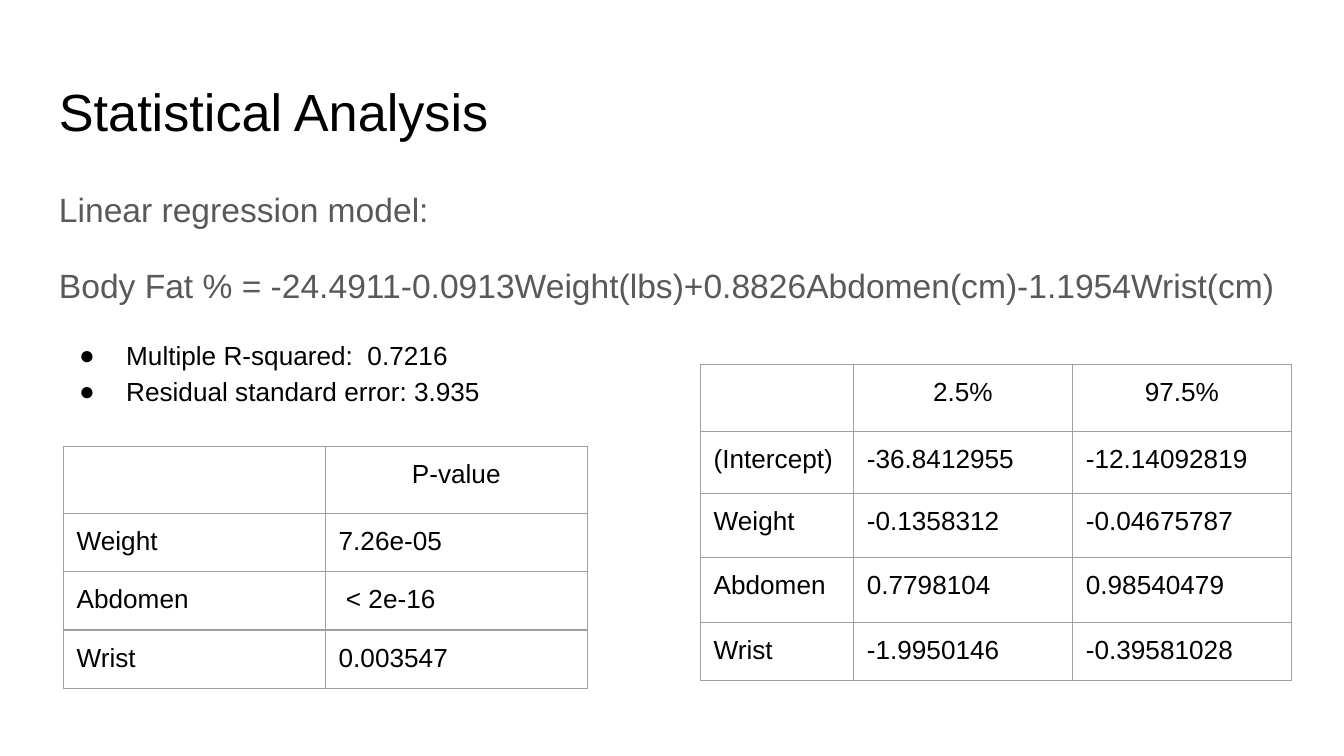
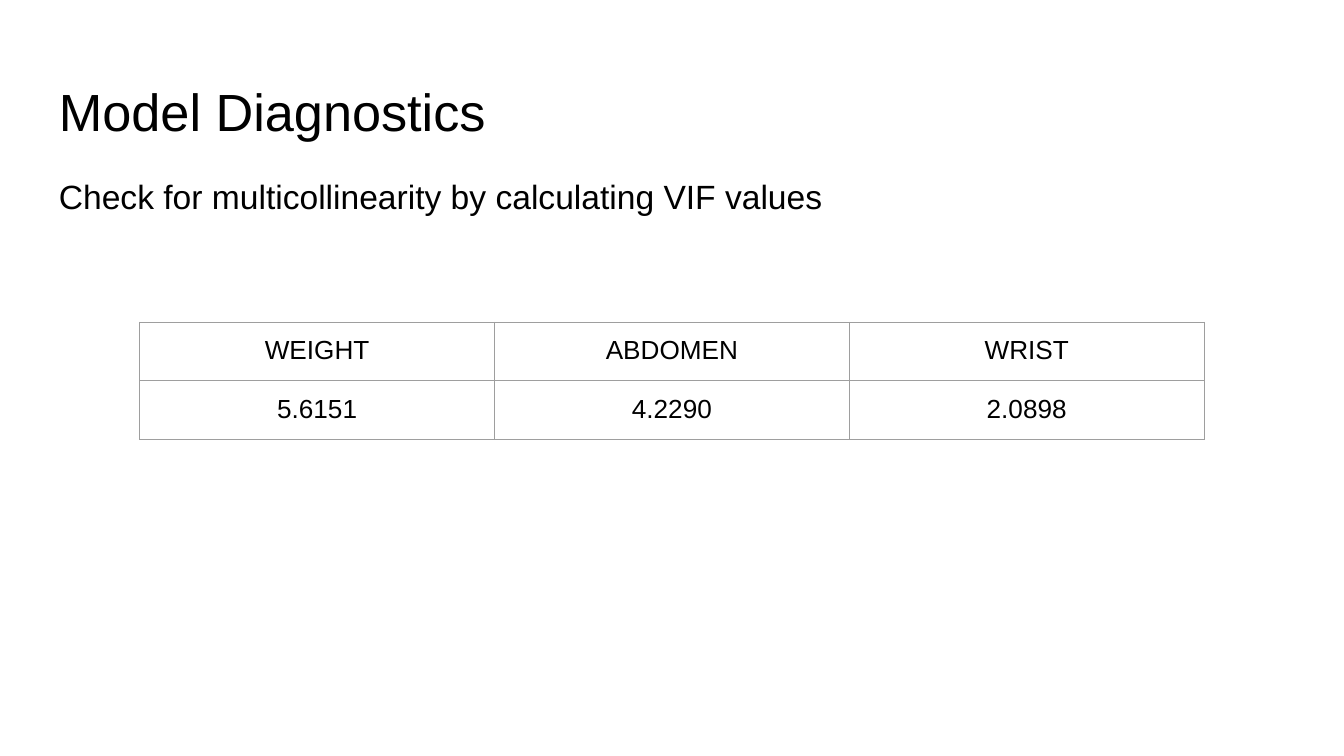
"""Build two slides on a body fat regression and its diagnostics."""
from dataclasses import dataclass

from lxml import etree
from pptx import Presentation
from pptx.dml.color import RGBColor
from pptx.enum.text import MSO_ANCHOR, PP_ALIGN
from pptx.oxml.ns import qn
from pptx.slide import Slide
from pptx.util import Inches, Pt

LEFT, CENTER = PP_ALIGN.LEFT, PP_ALIGN.CENTER
TOP = MSO_ANCHOR.TOP
COLORS = {"text": "000000", "muted": "595959", "border": "9E9E9E"}
FONT = "Arial"
BULLET = "●"
PAD = Inches(0.1)
FRAME_FORMAT = {"margin_left": PAD, "margin_top": PAD, "margin_right": PAD,
                "margin_bottom": PAD, "vertical_anchor": TOP}
TABLE_FORMAT = {"first_row": False, "horz_banding": False}
BODY_SPACING = 1.15
EMPTY_SIZE = 18


@dataclass(frozen=True)
class Para:
    text: str
    size: int = 14
    color: str = "text"
    align: PP_ALIGN = LEFT
    line: float = 1.0
    before: int = 0
    bullet: bool = False


@dataclass(frozen=True)
class TextBox:
    left: float
    top: float
    width: float
    height: float
    paras: tuple[Para, ...]


@dataclass(frozen=True)
class Grid:
    left: float
    top: float
    cols: tuple[float, ...]
    rows: tuple[float, ...]
    data: tuple[tuple[str, ...], ...]
    centered_rows: int = 1


def apply(target: object, values: dict) -> None:
    """Set every attribute named in values on the target."""
    for name, value in values.items():
        setattr(target, name, value)


def add_bullet(p, size: int) -> None:
    """Give a paragraph a hanging bullet in the text colour."""
    pPr = p._p.get_or_add_pPr()
    pPr.set("marL", str(Inches(0.5)))
    pPr.set("indent", str(Inches(-0.35)))
    clr = etree.SubElement(pPr, qn("a:buClr"))
    etree.SubElement(clr, qn("a:srgbClr"), val=COLORS["text"])
    etree.SubElement(pPr, qn("a:buSzPts"), val=str(size * 100))
    etree.SubElement(pPr, qn("a:buFont"), typeface=FONT)
    etree.SubElement(pPr, qn("a:buChar"), char=BULLET)


def end_para(p, size: int) -> None:
    """Set the font that closes a paragraph."""
    end = etree.SubElement(p._p, qn("a:endParaRPr"), sz=str(size * 100))
    for tag in ("a:latin", "a:ea", "a:cs"):
        etree.SubElement(end, qn(tag), typeface=FONT)


def write_para(p, para: Para) -> None:
    """Fill one paragraph with formatted text."""
    apply(p, {"alignment": para.align, "line_spacing": para.line,
              "space_before": Pt(para.before)})
    if para.bullet:
        add_bullet(p, para.size)
    if para.text:
        r = p.add_run()
        r.text = para.text
        apply(r.font, {"name": FONT, "size": Pt(para.size)})
        r.font.color.rgb = RGBColor.from_string(COLORS[para.color])
    end_para(p, para.size)


def draw_text(s: Slide, box: TextBox) -> None:
    """Draw a wrapped text box."""
    sp = s.shapes.add_textbox(Inches(box.left), Inches(box.top),
                              Inches(box.width), Inches(box.height))
    tf = sp.text_frame
    apply(tf, FRAME_FORMAT | {"word_wrap": True})
    for i, para in enumerate(box.paras):
        write_para(tf.add_paragraph() if i else tf.paragraphs[0], para)


def draw_title(s: Slide, text: str) -> None:
    """Draw the slide title."""
    draw_text(s, TextBox(0.34, 0.49, 9.32, 0.63, (Para(text, 28),)))


def set_borders(cell) -> None:
    """Put a thin line on all four sides of a cell."""
    tcPr = cell._tc.get_or_add_tcPr()
    for i, tag in enumerate(("a:lnL", "a:lnR", "a:lnT", "a:lnB")):
        ln = etree.Element(qn(tag), w=str(Pt(0.75)))
        fill = etree.SubElement(ln, qn("a:solidFill"))
        etree.SubElement(fill, qn("a:srgbClr"), val=COLORS["border"])
        tcPr.insert(i, ln)


def draw_table(s: Slide, grid: Grid) -> None:
    """Draw a plain bordered table."""
    frame = s.shapes.add_table(len(grid.rows), len(grid.cols),
                               Inches(grid.left), Inches(grid.top),
                               Inches(sum(grid.cols)), Inches(sum(grid.rows)))
    table = frame.table
    apply(table, TABLE_FORMAT)
    for col, width in zip(table.columns, grid.cols):
        col.width = Inches(width)
    for row, height in zip(table.rows, grid.rows):
        row.height = Inches(height)
    for i, texts in enumerate(grid.data):
        align = CENTER if i < grid.centered_rows else LEFT
        for j, text in enumerate(texts):
            cell = table.cell(i, j)
            apply(cell, FRAME_FORMAT)
            cell.fill.background()
            set_borders(cell)
            para = Para(text, align=align) if text else Para(text, EMPTY_SIZE)
            write_para(cell.text_frame.paragraphs[0], para)


MODEL = TextBox(0.34, 1.26, 9.32, 3.74, (
    Para("Linear regression model:", 18, "muted", line=BODY_SPACING),
    Para("Body Fat % = -24.4911-0.0913Weight(lbs)+0.8826Abdomen(cm)-1.1954Wrist(cm)",
         18, "muted", line=BODY_SPACING, before=16),
    Para("Multiple R-squared:  0.7216", line=BODY_SPACING, before=16, bullet=True),
    Para("Residual standard error: 3.935", line=BODY_SPACING, bullet=True),
))
INTERVALS = Grid(5.21, 2.71, (1.14, 1.63, 1.63), (0.48, 0.46, 0.48, 0.48, 0.42), (
    ("", "2.5%", "97.5%"),
    ("(Intercept)", "-36.8412955", "-12.14092819"),
    ("Weight", "-0.1358312", "-0.04675787"),
    ("Abdomen", "0.7798104", "0.98540479"),
    ("Wrist", "-1.9950146", "-0.39581028"),
))
P_VALUES = Grid(0.47, 3.32, (1.95,) * 2, (0.42,) * 4, (
    ("", "P-value"),
    ("Weight", "7.26e-05"),
    ("Abdomen", " < 2e-16"),
    ("Wrist", "0.003547"),
))
VIF = Grid(1.04, 2.4, (2.64,) * 3, (0.42,) * 2, (
    ("WEIGHT", "ABDOMEN", "WRIST"),
    ("5.6151", "4.2290", "2.0898"),
), centered_rows=2)
VIF_NOTE = TextBox(0.34, 1.21, 7.27, 0.4, (
    Para("Check for multicollinearity by calculating VIF values", 18),
))
SLIDES = (
    ("Statistical Analysis", (MODEL,), (INTERVALS, P_VALUES)),
    ("Model Diagnostics", (VIF_NOTE,), (VIF,)),
)


def main() -> None:
    """Build and save the presentation."""
    prs = Presentation()
    width = Inches(10)
    apply(prs, {"slide_width": width, "slide_height": width * 9 // 16})
    for title, boxes, grids in SLIDES:
        s = prs.slides.add_slide(prs.slide_layouts[6])
        draw_title(s, title)
        for box in boxes:
            draw_text(s, box)
        for grid in grids:
            draw_table(s, grid)
    prs.save("out.pptx")


if __name__ == "__main__":
    main()
